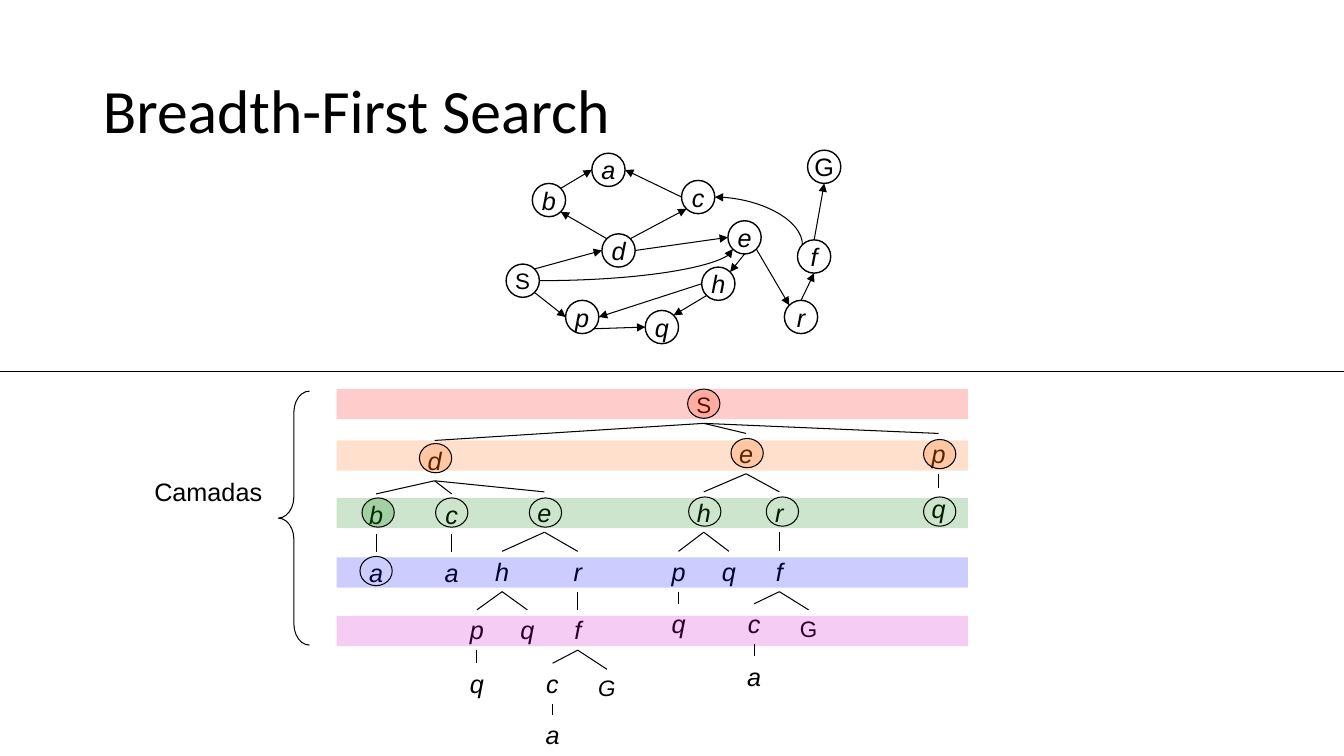
from dataclasses import dataclass
from math import cos, radians, sin

from lxml import etree
from pptx import Presentation
from pptx.dml.color import RGBColor
from pptx.enum import shapes, text
from pptx.oxml import ns
from pptx.util import Inches, Pt


@dataclass(frozen=True)
class Theme:
    """Colours, fonts and sizes of the slide."""
    ink: str = "000000"
    red: str = "FF0000"
    flame: str = "FF3300"
    orange: str = "FF6600"
    green: str = "008000"
    blue: str = "0000FF"
    pink: str = "CC00CC"
    alpha: int = 20
    head: str = "Calibri"
    body: str = "Arial"
    title: int = 44
    big: int = 18
    small: int = 16
    thin: float = 0.75
    rim: float = 1


@dataclass(frozen=True)
class Node:
    """A tree node with centre x, top y and children."""
    name: str
    x: float
    y: float
    kids: tuple = ()
    slant: bool = False


LOOK = Theme()
SHAPE = shapes.MSO_SHAPE
LINK = shapes.MSO_CONNECTOR

TREE = Node("S", 6.98, 3.83, (
    Node("d", 4.31, 4.37, (
        Node("b", 3.73, 4.9, (Node("a", 3.73, 5.48),)),
        Node("c", 4.48, 4.9, (Node("a", 4.48, 5.48),)),
        Node("e", 5.4, 4.88, (
            Node("h", 4.98, 5.47, (
                Node("p", 4.73, 6.05, (Node("q", 4.73, 6.58),)),
                Node("q", 5.23, 6.05))),
            Node("r", 5.73, 5.47, (
                Node("f", 5.73, 6.05, (
                    Node("c", 5.48, 6.58, (Node("a", 5.48, 7.09),)),
                    Node("G", 6.02, 6.64, slant=True))),)))))),
    Node("e", 7.4, 4.3, (
        Node("h", 6.98, 4.88, (
            Node("p", 6.73, 5.47, (Node("q", 6.73, 5.99),)),
            Node("q", 7.23, 5.47))),
        Node("r", 7.73, 4.88, (
            Node("f", 7.73, 5.47, (
                Node("c", 7.48, 5.99, (Node("a", 7.48, 6.51),)),
                Node("G", 8.02, 6.05))),)))),
    Node("p", 9.31, 4.3, (Node("q", 9.31, 4.84),))))

DIAM = 0.33
GRAPH = {
    "S": (5.02, 2.62), "G": (8.01, 1.49), "d": (5.97, 2.32), "b": (5.28, 1.82),
    "p": (5.61, 2.98), "q": (6.4, 3.08), "c": (6.76, 1.79), "e": (7.22, 2.19),
    "h": (6.96, 2.65), "a": (5.87, 1.52), "f": (7.91, 2.38), "r": (7.78, 2.98)}

TOP, TL, LEFT, BL, LOW, BR, RIGHT, TR = range(90, 450, 45)
EDGES = [
    ("S", BR, "p", LEFT), ("p", BR, "q", LEFT), ("h", BL, "q", TR),
    ("h", LEFT, "p", RIGHT), ("e", LOW, "h", TR), ("e", BR, "r", TL),
    ("r", TOP, "f", LOW), ("f", TOP, "G", LOW), ("S", TR, "d", LEFT),
    ("d", TL, "b", BR), ("b", TR, "a", LEFT), ("c", LEFT, "a", RIGHT),
    ("d", TR, "c", BL), ("d", RIGHT, "e", LEFT)]
CURVES = [("c", RIGHT, "f", TL, "headEnd"), ("S", RIGHT, "e", BL, "tailEnd")]

BANDS = [(3.86, LOOK.red), (4.37, LOOK.orange), (4.94, LOOK.green),
         (5.53, LOOK.blue), (6.11, LOOK.pink)]
RINGS = [
    (6.82, 3.86, LOOK.flame), (4.16, 4.4, LOOK.orange), (7.25, 4.35, LOOK.orange),
    (9.16, 4.36, LOOK.orange), (3.59, 4.94, LOOK.green), (4.32, 4.94, None),
    (5.25, 4.94, None), (6.83, 4.93, None), (7.6, 4.93, None),
    (9.16, 4.93, None), (3.57, 5.52, None)]


def rim(name, side):
    """Return the point on a graph node's edge at the given angle."""
    left, top = GRAPH[name]
    half = DIAM / 2
    turn = radians(side)
    return left + half + half * cos(turn), top + half - half * sin(turn)


class Board:
    """Draws styled elements on one slide."""

    def __init__(self, deck, look):
        """Add a title-only slide to the deck."""
        self.look = look
        self.slide = deck.slides.add_slide(deck.slide_layouts[5])
        self.items = self.slide.shapes

    def letter(self, frame, words, size, font, slant=False, align=text.PP_ALIGN.CENTER):
        """Set and format the one paragraph of a frame."""
        frame.text = words
        para = frame.paragraphs[0]
        para.alignment = align
        face = para.runs[0].font
        face.name, face.size, face.italic = font, Pt(size), slant
        face.color.rgb = RGBColor.from_string(self.look.ink)

    def title(self, words, *box):
        """Place and fill the title placeholder."""
        hold = self.items.title
        hold.left, hold.top, hold.width, hold.height = map(Inches, box)
        frame = hold.text_frame
        frame.vertical_anchor = text.MSO_ANCHOR.MIDDLE
        self.letter(frame, words, self.look.title, self.look.head,
                    align=text.PP_ALIGN.LEFT)
        frame.paragraphs[0].line_spacing = 0.9

    def label(self, words, size, slant, *box):
        """Add a centred text box."""
        item = self.items.add_textbox(*map(Inches, box))
        frame = item.text_frame
        frame.word_wrap = True
        frame.auto_size = text.MSO_AUTO_SIZE.SHAPE_TO_FIT_TEXT
        self.letter(frame, words, size, self.look.body, slant)
        return item

    def shape(self, kind, *box, fill=None, line=None):
        """Add a preset shape with an optional sheer fill and outline."""
        item = self.items.add_shape(kind, *map(Inches, box))
        item.shadow.inherit = False
        if fill:
            item.fill.solid()
            item.fill.fore_color.rgb = RGBColor.from_string(fill)
            tone = item._element.spPr.find(".//" + ns.qn("a:srgbClr"))
            etree.SubElement(tone, ns.qn("a:alpha"), val=str(self.look.alpha * 1000))
        else:
            item.fill.background()
        if line:
            item.line.color.rgb = RGBColor.from_string(self.look.ink)
            item.line.width = Pt(line)
        else:
            item.line.fill.background()
        return item

    def disc(self, name, left, top):
        """Add a named graph node."""
        item = self.shape(SHAPE.FLOWCHART_CONNECTOR, left, top, DIAM, DIAM,
                          line=self.look.rim)
        frame = item.text_frame
        frame.word_wrap = False
        frame.vertical_anchor = text.MSO_ANCHOR.MIDDLE
        size = self.look.small if name == "S" else self.look.big
        self.letter(frame, name, size, self.look.body, name.islower())

    def line(self, start, end, tip=None, curve=False):
        """Add a connector, with an arrowhead if a tip is named."""
        kind = LINK.CURVE if curve else LINK.STRAIGHT
        item = self.items.add_connector(kind, *map(Inches, (*start, *end)))
        item.line.color.rgb = RGBColor.from_string(self.look.ink)
        item.line.width = Pt(self.look.thin)
        props = item._element.spPr
        if curve:
            props.find(ns.qn("a:prstGeom")).set("prst", "curvedConnector2")
        if tip:
            etree.SubElement(props.find(ns.qn("a:ln")), ns.qn("a:" + tip), type="triangle")
        etree.SubElement(props, ns.qn("a:effectLst"))
        return item

    def tree(self, node):
        """Add a node and its subtree, joined by lines."""
        low = node.name.islower()
        wide = {"S": 1.08, "G": 0.83}.get(node.name, 0.42)
        item = self.label(node.name, self.look.big if low else self.look.small,
                          low or node.slant, node.x - wide / 2, node.y,
                          wide, 0.4 if low else 0.37)
        for kid in node.kids:
            child = self.tree(kid)
            link = self.line((node.x, node.y), (kid.x, kid.y))
            link.begin_connect(item, 2)
            link.end_connect(child, 0)
        return item


def main():
    """Build the slide and save it."""
    deck = Presentation()
    deck.slide_width, deck.slide_height = Inches(13.33), Inches(7.5)
    board = Board(deck, LOOK)
    board.title("Breadth-First Search", 0.92, 0.4, 11.5, 1.45)
    board.tree(TREE)
    for name, place in GRAPH.items():
        board.disc(name, *place)
    for first, out, last, into in EDGES:
        board.line(rim(first, out), rim(last, into), "tailEnd")
    for first, out, last, into, tip in CURVES:
        board.line(rim(first, out), rim(last, into), tip, curve=True)
    for top, tone in BANDS:
        board.shape(SHAPE.RECTANGLE, 3.34, top, 6.26, 0.3, fill=tone)
    brace = board.shape(SHAPE.LEFT_BRACE, 2.76, 3.88, 0.31, 2.52, line=LOOK.thin)
    brace.adjustments[0] = 0.68
    board.label("Camadas", LOOK.big, False, 1.42, 4.68, 1.29, 0.4)
    for left, top, tone in RINGS:
        board.shape(SHAPE.OVAL, left, top, 0.32, 0.29, fill=tone, line=LOOK.thin)
    board.line((0, 3.69), (13.33, 3.69))
    deck.save("out.pptx")


if __name__ == "__main__":
    main()
